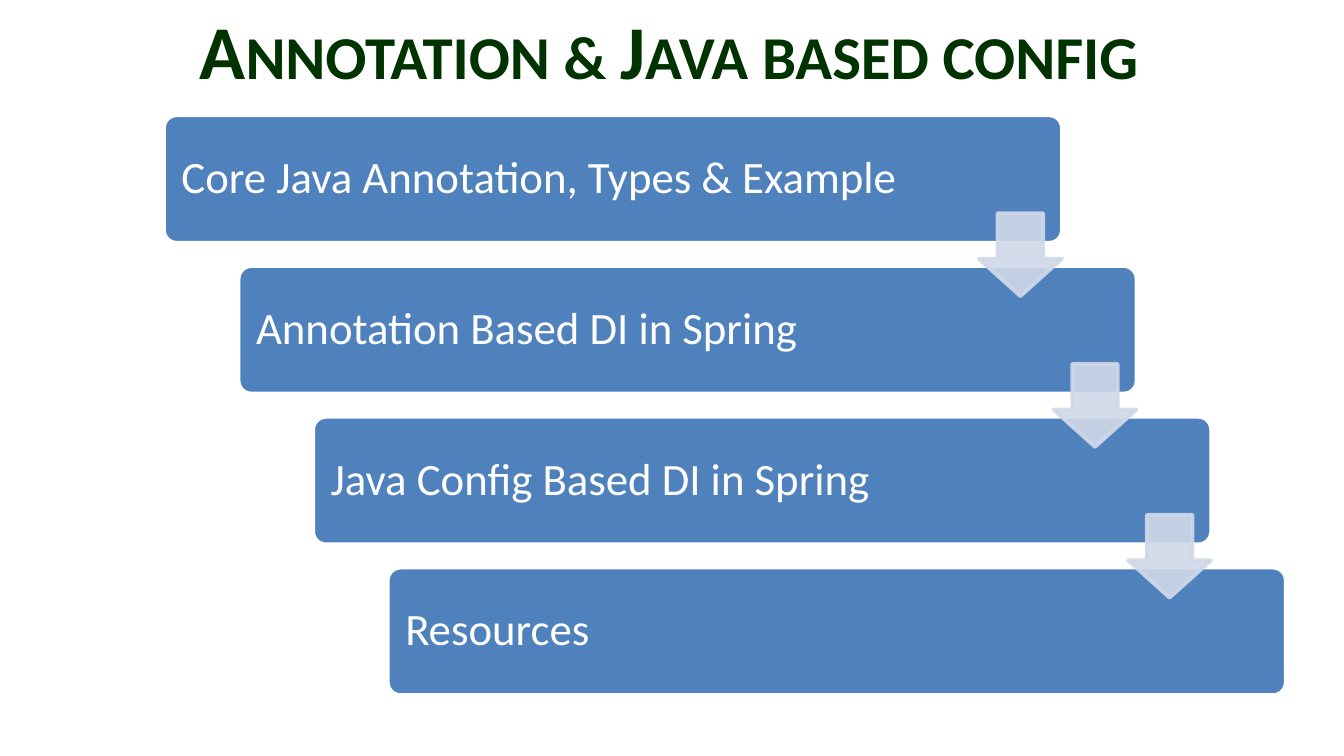
from pptx import Presentation
from pptx.dml.color import RGBColor
from pptx.enum.shapes import MSO_SHAPE as Kind
from pptx.enum.text import MSO_ANCHOR as Anchor, PP_ALIGN as Align
from pptx.oxml.ns import qn
from pptx.util import Cm, Pt
from lxml.etree import SubElement

GREEN = RGBColor(0x00, 0x33, 0x00)
BLUE = RGBColor(0x4F, 0x81, 0xBD)
PALE = RGBColor(0xD0, 0xD8, 0xE8)
WHITE = RGBColor(0xFF, 0xFF, 0xFF)

STEPS = [
    "Core Java Annotation, Types & Example",
    "Annotation Based DI in Spring",
    "Java Config Based DI in Spring",
    "Resources",
]
LEFT, TOP = 3.1, 2.18
WIDE, HIGH = 16.97, 2.41
SHIFT, DROP = 1.41, 2.85
ARROW = 1.57
PAD = 0.08


def add_text(slide, text, area, size, color):
    box = slide.shapes.add_textbox(*map(Cm, area))
    frame = box.text_frame
    frame.word_wrap = True
    frame.vertical_anchor = Anchor.MIDDLE
    frame.text = text
    font = frame.paragraphs[0].runs[0].font
    font.name = "Calibri"
    font.size = Pt(size)
    font.color.rgb = color
    return frame


def add_title(slide, text):
    frame = add_text(slide, text, (-0.15, -0.03, 25.58, 1.93), 40.7, GREEN)
    line = frame.paragraphs[0]
    line.alignment = Align.CENTER
    font = line.runs[0].font
    font.bold = True
    font._element.set("cap", "small")


def add_shape(slide, kind, area, fill, edge, ratios):
    shape = slide.shapes.add_shape(kind, *map(Cm, area))
    shape.shadow.inherit = False
    shape.fill.solid()
    shape.fill.fore_color.rgb = fill
    shape.line.color.rgb = edge
    shape.line.width = Pt(2)
    for index, ratio in enumerate(ratios):
        shape.adjustments[index] = ratio
    return shape


def add_step(slide, text, left, top, width):
    add_shape(slide, Kind.ROUNDED_RECTANGLE, (left, top, WIDE, HIGH),
              BLUE, WHITE, [0.1])
    area = (left + PAD, top + PAD, width, HIGH - 2 * PAD)
    frame = add_text(slide, text, area, 24, WHITE)
    frame.margin_left = frame.margin_right = Cm(0.25)
    frame.margin_top = frame.margin_bottom = Cm(0.25)
    frame.paragraphs[0].line_spacing = 0.9


def add_arrow(slide, left, top):
    arrow = add_shape(slide, Kind.DOWN_ARROW, (left, top, ARROW, ARROW),
                      PALE, PALE, [0.55, 0.45])
    for color in arrow._element.spPr.iter(qn("a:srgbClr")):
        SubElement(color, qn("a:alpha"), val="90000")


def main():
    deck = Presentation()
    deck.slide_width, deck.slide_height = Cm(25.4), Cm(14.29)
    slide = deck.slides.add_slide(deck.slide_layouts[6])
    add_title(slide, "Annotation & Java based config")
    spots = [(LEFT + i * SHIFT, TOP + i * DROP) for i in range(len(STEPS))]
    for i, (text, (left, top)) in enumerate(zip(STEPS, spots)):
        add_step(slide, text, left, top, 13.84 if i else 14.15)
    for left, top in spots[:-1]:
        add_arrow(slide, left + WIDE - ARROW, top + 1.85)
    deck.save("out.pptx")


if __name__ == "__main__":
    main()
